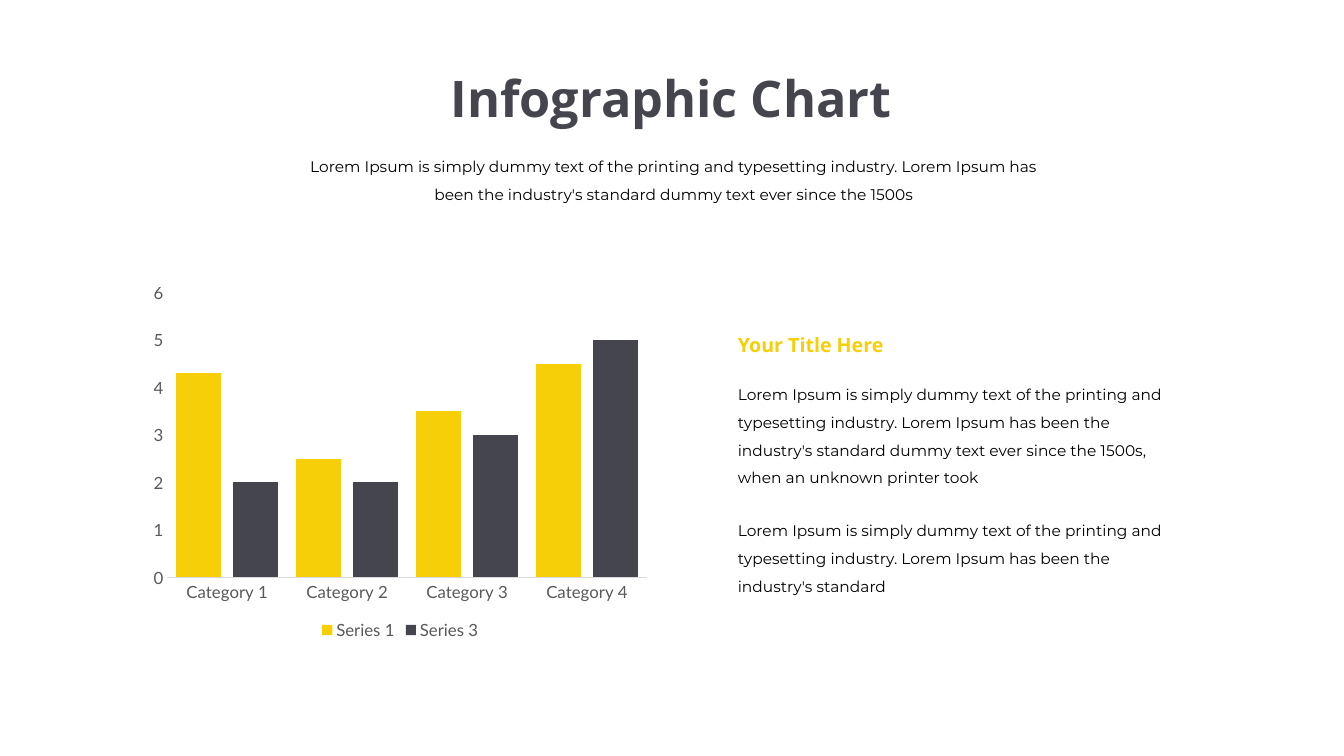
"""Build the infographic chart slide with a column chart and text."""
import pptx
import pptx.chart.data
import pptx.dml.color
import pptx.enum.chart
import pptx.enum.text
import pptx.util

Inches = pptx.util.Inches
Pt = pptx.util.Pt
CENTER = pptx.enum.text.PP_ALIGN.CENTER
LEFT = pptx.enum.text.PP_ALIGN.LEFT
COLORS = {
    "yellow": "F6CF08",
    "slate": "45454D",
    "black": "000000",
    "label": "595959",
    "axis": "D9D9D9",
}


def rgb(name):
    return pptx.dml.color.RGBColor.from_string(COLORS[name])


def style_font(font, face, size, color, bold=False):
    font.name = face
    font.size = Pt(size)
    font.bold = bold
    font.color.rgb = rgb(color)


deck = pptx.Presentation()
deck.slide_width = Inches(13.33)
deck.slide_height = Inches(7.5)
page = deck.slides.add_slide(deck.slide_layouts[6])

chart_data = pptx.chart.data.CategoryChartData()
chart_data.categories = [f"Category {number}" for number in range(1, 5)]
chart_data.add_series("Series 1", (4.3, 2.5, 3.5, 4.5))
chart_data.add_series("Series 3", (2, 2, 3, 5))
chart = page.shapes.add_chart(
    pptx.enum.chart.XL_CHART_TYPE.COLUMN_CLUSTERED,
    Inches(1.42), Inches(2.73), Inches(5.1), Inches(3.66), chart_data,
).chart
style_font(chart.font, "Calibri", 10, "black")
chart.has_title = False
chart.has_legend = True
chart.legend.position = pptx.enum.chart.XL_LEGEND_POSITION.BOTTOM
chart.legend.include_in_layout = False
style_font(chart.legend.font, "Lato", 12, "label")

for axis in (chart.category_axis, chart.value_axis):
    axis.has_major_gridlines = False
    axis.major_tick_mark = pptx.enum.chart.XL_TICK_MARK.NONE
    axis.minor_tick_mark = pptx.enum.chart.XL_TICK_MARK.NONE
    style_font(axis.tick_labels.font, "Lato", 12, "label")
chart.category_axis.format.line.color.rgb = rgb("axis")
chart.category_axis.format.line.width = Pt(0.75)
chart.value_axis.format.line.fill.background()
chart.value_axis.minimum_scale = 0
chart.value_axis.maximum_scale = 6
chart.value_axis.major_unit = 1

plot = chart.plots[0]
plot.gap_width = 40
plot.overlap = -27
plot.vary_by_categories = False
for series, color in zip(plot.series, ("yellow", "slate")):
    series.format.fill.solid()
    series.format.fill.fore_color.rgb = rgb(color)
    series.invert_if_negative = False

lorem = (
    "Lorem Ipsum is simply dummy text of the printing and typesetting industry. "
    "Lorem Ipsum has been the industry's standard"
)
since = " dummy text ever since the 1500s"
title_style = ("Open Sans", 36, "slate", True)
heading_style = ("Open Sans", 14, "yellow", True)
body_style = ("Montserrat", 11, "black")
texts = [
    (2.91, 1.42, 7.55, 0.66, lorem + since, CENTER, 1.5, body_style),
    (2.24, 0.62, 8.83, 0.71, "Infographic Chart", CENTER, 1, title_style),
    (7.22, 3.25, 2.8, 0.34, "Your Title Here", LEFT, 1, heading_style),
    (7.22, 3.68, 4.67, 1.21, lorem + since + ", when an unknown printer took",
     LEFT, 1.5, body_style),
    (7.22, 5.03, 4.44, 0.93, lorem, LEFT, 1.5, body_style),
]
for left, top, width, height, text, alignment, spacing, style in texts:
    box = page.shapes.add_textbox(Inches(left), Inches(top), Inches(width), Inches(height))
    frame = box.text_frame
    frame.word_wrap = True
    frame.auto_size = pptx.enum.text.MSO_AUTO_SIZE.SHAPE_TO_FIT_TEXT
    frame.text = text
    para = frame.paragraphs[0]
    para.alignment = alignment
    para.line_spacing = spacing
    style_font(para.runs[0].font, *style)

deck.save("out.pptx")
